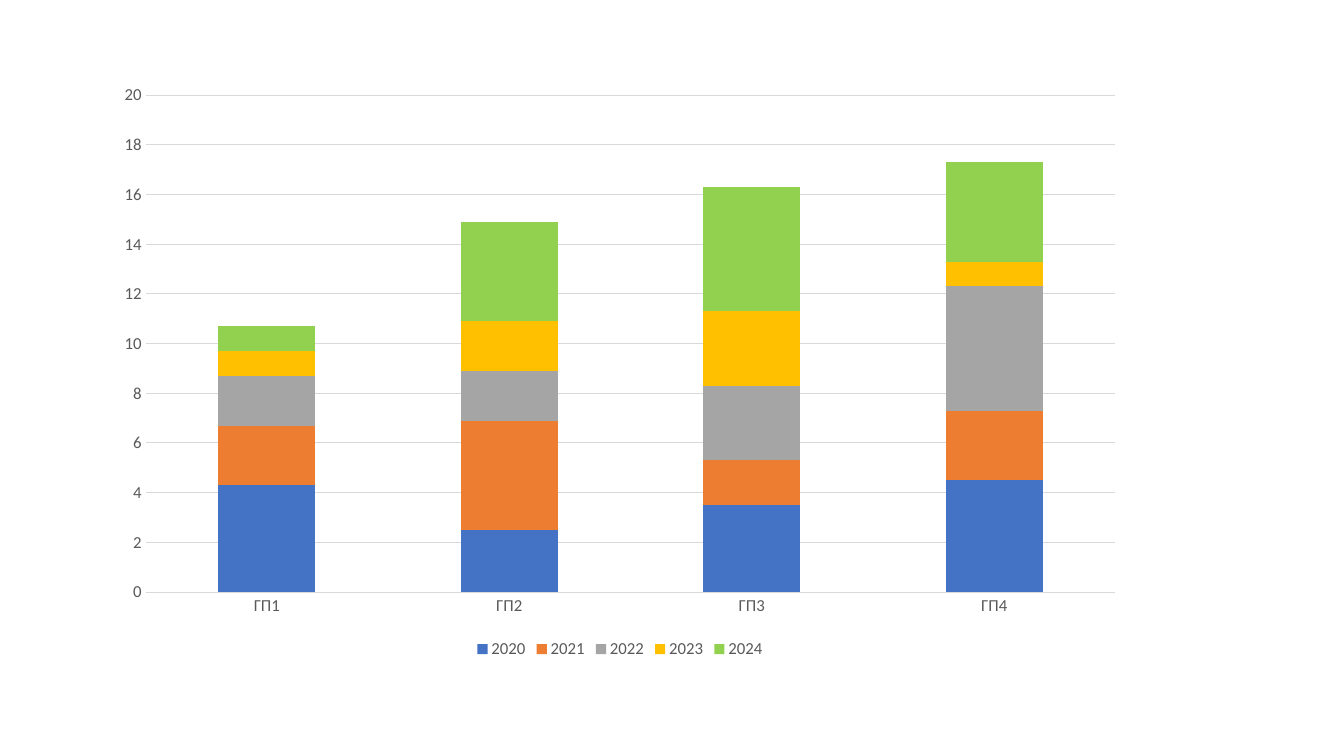
import pptx
import pptx.chart.data
import pptx.dml.color
import pptx.enum.chart
import pptx.util

Cm = pptx.util.Cm
RGBColor = pptx.dml.color.RGBColor

TEXT_GRAY = RGBColor(0x59, 0x59, 0x59)
LINE_GRAY = RGBColor(0xD9, 0xD9, 0xD9)
BLUE = RGBColor(0x44, 0x72, 0xC4)
ORANGE = RGBColor(0xED, 0x7D, 0x31)
GRAY = RGBColor(0xA5, 0xA5, 0xA5)
YELLOW = RGBColor(0xFF, 0xC0, 0x00)
GREEN = RGBColor(0x92, 0xD0, 0x50)


def format_text(text, size=12, color=TEXT_GRAY, name="Calibri"):
    text.font.size = pptx.util.Pt(size)
    text.font.color.rgb = color
    text.font.name = name
    text.font.bold = False


presentation = pptx.Presentation()
presentation.slide_width = Cm(33.87)
presentation.slide_height = Cm(19.05)
slide = presentation.slides.add_slide(presentation.slide_layouts[6])

years = [
    ("2020", BLUE, (4.3, 2.5, 3.5, 4.5)),
    ("2021", ORANGE, (2.4, 4.4, 1.8, 2.8)),
    ("2022", GRAY, (2, 2, 3, 5)),
    ("2023", YELLOW, (1, 2, 3, 1)),
    ("2024", GREEN, (1, 4, 5, 4)),
]
chart_data = pptx.chart.data.CategoryChartData()
chart_data.categories = ["ГП1", "ГП2", "ГП3", "ГП4"]
for year, color, values in years:
    chart_data.add_series(year, values)

chart = slide.shapes.add_chart(
    pptx.enum.chart.XL_CHART_TYPE.COLUMN_STACKED,
    Cm(2.62), Cm(1.85), Cm(26.01), Cm(14.86), chart_data,
).chart
chart.has_title = False
format_text(chart, size=10, color=RGBColor(0, 0, 0))

chart.has_legend = True
chart.legend.position = pptx.enum.chart.XL_LEGEND_POSITION.BOTTOM
chart.legend.include_in_layout = False
format_text(chart.legend)

plot = chart.plots[0]
plot.gap_width = 150
plot.overlap = 100
plot.vary_by_categories = False
for series, (year, color, values) in zip(plot.series, years):
    series.format.fill.solid()
    series.format.fill.fore_color.rgb = color
    series.format.line.fill.background()

category_axis = chart.category_axis
value_axis = chart.value_axis
for axis in (category_axis, value_axis):
    axis.major_tick_mark = pptx.enum.chart.XL_TICK_MARK.NONE
    axis.minor_tick_mark = pptx.enum.chart.XL_TICK_MARK.NONE
    format_text(axis.tick_labels)

value_axis.minimum_scale = 0
value_axis.maximum_scale = 20
value_axis.major_unit = 2
value_axis.has_major_gridlines = True
value_axis.format.line.fill.background()
for line in (category_axis.format.line, value_axis.major_gridlines.format.line):
    line.color.rgb = LINE_GRAY
    line.width = pptx.util.Pt(0.75)

presentation.save("out.pptx")
